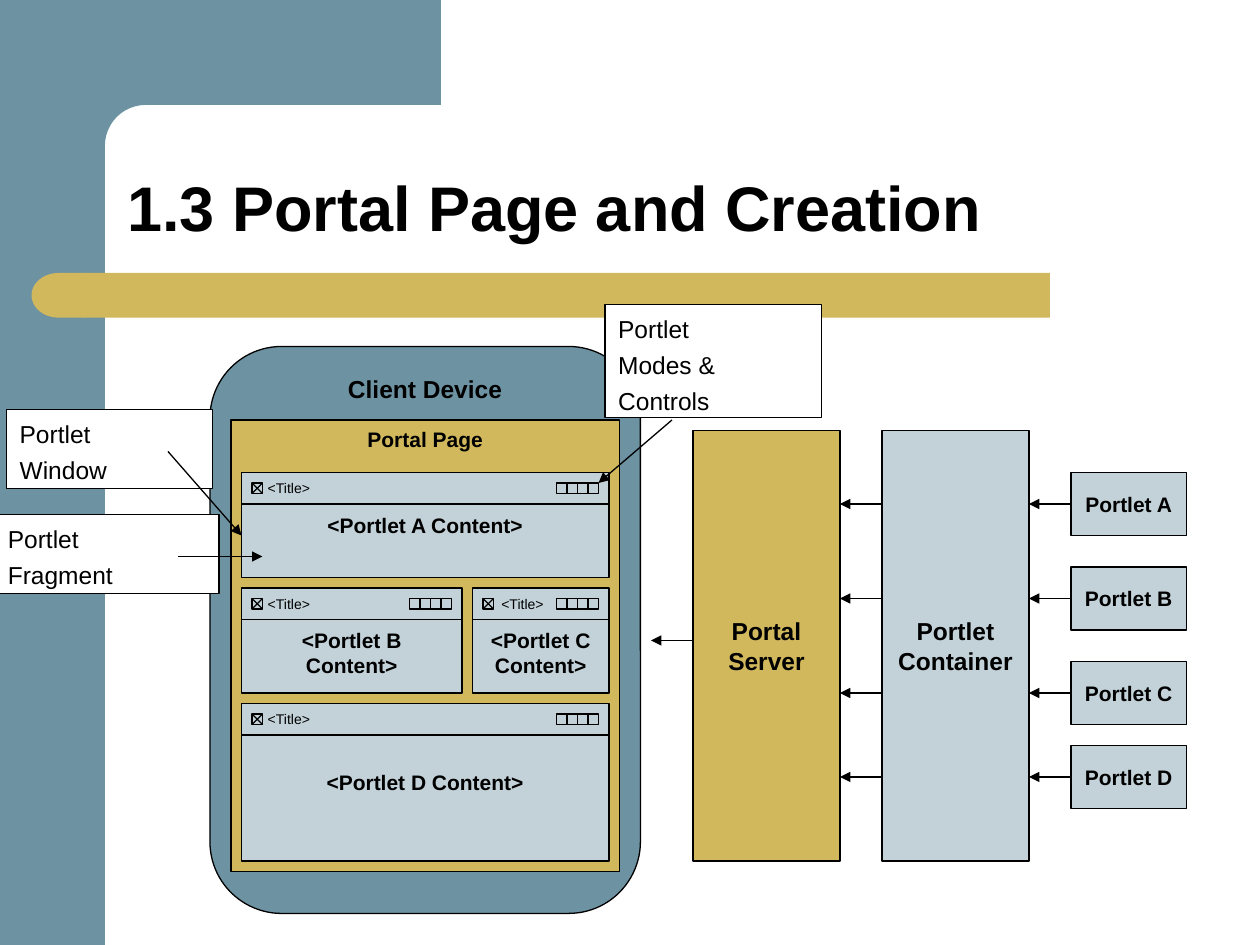
from dataclasses import dataclass
from math import cos, pi, sin

from lxml import etree
from pptx import Presentation
from pptx.dml.color import RGBColor
from pptx.enum.shapes import MSO_CONNECTOR, MSO_SHAPE
from pptx.enum.text import MSO_ANCHOR, PP_ALIGN
from pptx.oxml.ns import qn
from pptx.util import Pt

PX = 9525
RECT, ROUND = MSO_SHAPE.RECTANGLE, MSO_SHAPE.ROUNDED_RECTANGLE
DELAY = MSO_SHAPE.FLOWCHART_DELAY
STRAIGHT = MSO_CONNECTOR.STRAIGHT
LEFT, CENTER = PP_ALIGN.LEFT, PP_ALIGN.CENTER
TOP, MIDDLE, BOTTOM = MSO_ANCHOR.TOP, MSO_ANCHOR.MIDDLE, MSO_ANCHOR.BOTTOM


@dataclass(frozen=True)
class Theme:
    font: str = "Arial"
    teal: str = "6D92A2"
    gold: str = "D1B85C"
    pale: str = "C3D2D9"
    white: str = "FFFFFF"
    ink: str = "000000"
    title: int = 36
    head: int = 14
    label: int = 12
    small: int = 8
    line: float = 0.75


T = Theme()


def px(*nums):
    return [round(n * PX) for n in nums]


def write(shape, text, size=T.label, bold=True, align=CENTER, anchor=MIDDLE,
          gap=0, lines=None, top=5, side=10):
    """Fill a shape with text, one paragraph for each line of it."""
    frame = shape.text_frame
    frame.word_wrap = True
    frame.vertical_anchor = anchor
    frame.margin_left, frame.margin_right = px(side, side)
    frame.margin_top, frame.margin_bottom = px(top, 5)
    for i, line in enumerate(text.split("\n")):
        para = frame.add_paragraph() if i else frame.paragraphs[0]
        para.text = line
        para.alignment = align
        if i and gap:
            para.space_before = Pt(gap)
        if lines:
            para.line_spacing = lines
        font = para.font
        font.name, font.size, font.bold = T.font, Pt(size), bold
        font.color.rgb = RGBColor.from_string(T.ink)


def paint(shape, fill=None, edge=True):
    shape.shadow.inherit = False
    if fill:
        shape.fill.solid()
        shape.fill.fore_color.rgb = RGBColor.from_string(fill)
    else:
        shape.fill.background()
    if edge:
        shape.line.color.rgb = RGBColor.from_string(T.ink)
        shape.line.width = Pt(T.line)
    else:
        shape.line.fill.background()
    return shape


def block(slide, box, fill=None, edge=True, kind=RECT):
    return paint(slide.shapes.add_shape(kind, *px(*box)), fill, edge)


def rule(slide, x1, y1, x2, y2, arrow=False):
    line = slide.shapes.add_connector(STRAIGHT, *px(x1, y1, x2, y2))
    line.line.color.rgb = RGBColor.from_string(T.ink)
    line.line.width = Pt(T.line)
    if arrow:
        etree.SubElement(line.line._get_or_add_ln(), qn("a:tailEnd"), type="triangle")
    etree.SubElement(line._element.spPr, qn("a:effectLst"))


def frame(slide, box):
    """Teal side band and corner with a rounded inner edge."""
    x, y, w, h = box
    block(slide, (x, y, 80, h), T.teal, False)
    turn, rad, steps = 111, 31, 12
    arc = [(x + turn - rad * sin(a), y + turn - rad * cos(a))
           for a in (pi / 2 * i / steps for i in range(steps + 1))]
    pts = [(x + w, y), (x + w, y + 80), *arc, (x + 80, y + 122), (x + 48, y + 122)]
    form = slide.shapes.build_freeform(*px(x + 48, y), scale=1.0)
    form.add_line_segments([px(*p) for p in pts], close=True)
    paint(form.convert_to_shape(), T.teal, False)


def banner(slide, box):
    x, y, w, h = box
    block(slide, (x + 40, y, w - 40, h), T.gold, False)
    cap = block(slide, (x, y, 41, h), T.gold, False, DELAY)
    cap.rotation = 180


def heading(slide, box):
    title = slide.shapes.title
    title.left, title.top, title.width, title.height = px(*box)
    write(title, "1.3 Portal Page and Creation", size=T.title, align=LEFT,
          anchor=BOTTOM, lines=0.9)


def window(slide, box, name, drop=0, indent=20):
    """Portlet window; drop lowers the content, indent places the title."""
    x, y, w, h = box
    body = block(slide, box, T.pale)
    write(body, f"<Portlet {name} Content>", top=5 + drop)
    rule(slide, x, y + 24, x + w, y + 24)
    for i in range(4):
        block(slide, (x + w - 40 + 8 * i, y + 8, 8, 8))
    block(slide, (x + 8, y + 8, 8, 8))
    rule(slide, x + 8, y + 8, x + 16, y + 16)
    rule(slide, x + 16, y + 8, x + 8, y + 16)
    label = slide.shapes.add_textbox(*px(x + indent, y, 44, 24))
    write(label, "<Title>", size=T.small, bold=False, align=LEFT, side=0)


def client(slide, box):
    x, y, w, h = box
    device = block(slide, box, T.teal, kind=ROUND)
    write(device, "Client Device", size=T.head, anchor=TOP)
    page = block(slide, (x + 16, y + 56, w - 32, h - 88), T.gold)
    write(page, "Portal Page", anchor=TOP)
    left, top, wide = x + 24, y + 96, w - 48
    window(slide, (left, top, wide, 80), "A")
    window(slide, (left, top + 88, 168, 80), "B", drop=18)
    window(slide, (left + 176, top + 88, wide - 176, 80), "C", drop=18, indent=22)
    window(slide, (left, top + 176, wide, 120), "D")


def callout(slide, box, text, arrow):
    note = block(slide, box, T.white)
    write(note, text, size=T.head, bold=False, align=LEFT, anchor=TOP, gap=4, top=7)
    rule(slide, *arrow, arrow=True)


def server(slide, box):
    """Portlets feed the container, which feeds the portal server."""
    x, y, w, h = box
    col, gap = 112, 32
    inner = x + col + gap
    outer = inner + col + gap
    for left, text, fill in ((x, "Portal Server", T.gold),
                             (inner, "Portlet Container", T.pale)):
        write(block(slide, (left, y, col, h), fill), text, size=T.head)
    for name, drop in zip("ABCD", (32, 104, 176, 240)):
        part = block(slide, (outer, y + drop, x + w - outer, 48), T.pale)
        write(part, f"Portlet {name}")
        mid = y + drop + 24
        for start in (inner, outer):
            rule(slide, start, mid, start - gap, mid, arrow=True)
    rule(slide, x, y + 160, x - gap, y + 160, arrow=True)


def main():
    deck = Presentation()
    deck.slide_width, deck.slide_height = px(960, 720)
    slide = deck.slides.add_slide(deck.slide_layouts[5])
    frame(slide, (0, 0, 336, 720))
    banner(slide, (24, 208, 776, 34))
    heading(slide, (87, 87, 817, 105))
    client(slide, (160, 264, 328, 432))
    callout(slide, (5, 312, 157, 60), "Portlet\nWindow", (128, 344, 184, 408))
    callout(slide, (-4, 392, 171, 60), "Portlet\nFragment", (136, 424, 200, 424))
    callout(slide, (461, 232, 165, 86), "Portlet\nModes &\nControls",
            (512, 320, 456, 368))
    server(slide, (528, 328, 376, 328))
    deck.save("out.pptx")


if __name__ == "__main__":
    main()
